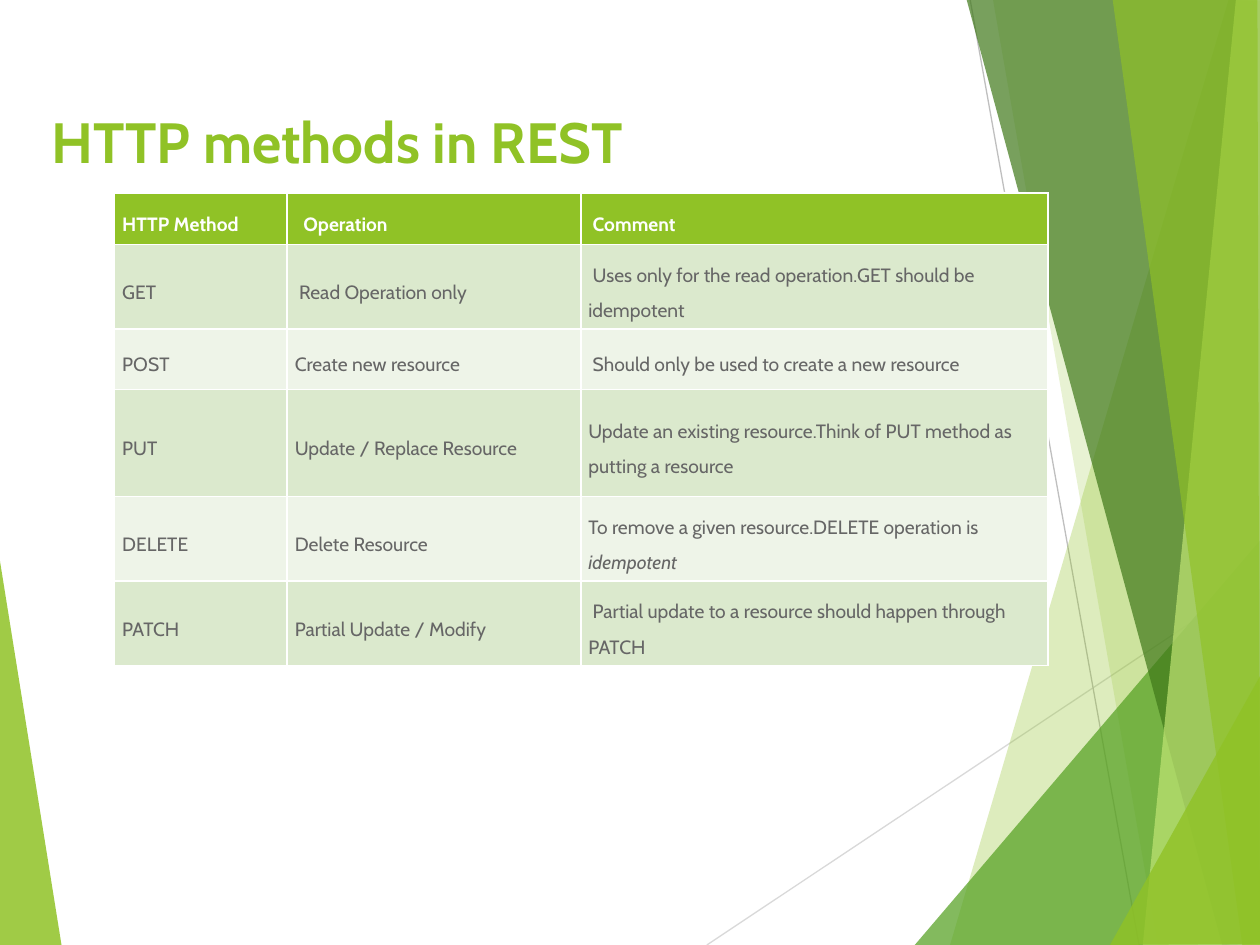
from lxml import etree
from pptx import Presentation
from pptx.dml.color import RGBColor
from pptx.enum.shapes import MSO_CONNECTOR
from pptx.enum.text import MSO_ANCHOR
from pptx.oxml.ns import qn
from pptx.util import Emu, Pt

PX = 9144
STRAIGHT = MSO_CONNECTOR.STRAIGHT
MIDDLE = MSO_ANCHOR.MIDDLE
BOTTOM = MSO_ANCHOR.BOTTOM

FONT = "Cabin"
GREEN = RGBColor(0x90, 0xC2, 0x26)
LEAF = RGBColor(0x54, 0xA0, 0x21)
FOREST = RGBColor(0x3F, 0x78, 0x19)
LIME = RGBColor(0xC0, 0xE4, 0x74)
BAND_DARK = RGBColor(0xDB, 0xE9, 0xCD)
BAND_LIGHT = RGBColor(0xEE, 0xF4, 0xE8)
WHITE = RGBColor(0xFF, 0xFF, 0xFF)
GRAY = RGBColor(0x66, 0x66, 0x66)
RULE_LIGHT = RGBColor(0xD9, 0xD9, 0xD9)
RULE_DARK = RGBColor(0xBF, 0xBF, 0xBF)

RULES = [
    ((561, 750), (1001, 457), RULE_LIGHT),
    ((770, 0), (904, 750), RULE_DARK),
]
FACETS = [
    ([(-1, 439), (49, 751), (-1, 750)], GREEN, 85),
    ([(975, 0), (754, 750), (1002, 751), (1001, 1)], GREEN, 30),
    ([(788, -1), (919, 750), (1001, 750), (1001, -1)], GREEN, 20),
    ([(726, 750), (1000, 429), (1001, 750)], LEAF, 72),
    ([(767, -1), (970, 750), (1001, 749), (1001, -1)], FOREST, 70),
    ([(981, -1), (907, 750), (1001, 750), (1000, -1)], LIME, 70),
    ([(883, -1), (986, 750), (1000, 750), (998, -1)], GREEN, 65),
    ([(881, 750), (1001, 535), (1001, 749)], GREEN, 80),
]
COLUMNS = [137, 233, 371]
ROWS = [
    (41, ["HTTP Method", "  Operation", " Comment"]),
    (66, ["GET", " Read Operation only",
          " Uses only for the read operation.GET should be idempotent"]),
    (48, ["POST", "Create new resource",
          " Should only be used to create a new resource"]),
    (85, ["PUT", "Update / Replace Resource",
          "Update an existing resource.Think of PUT method as putting a resource"]),
    (66, ["DELETE", "Delete Resource",
          "To remove a given resource.DELETE operation is *idempotent"]),
    (66, ["PATCH", "Partial Update / Modify",
          " Partial update to a resource should happen through PATCH"]),
]


def px(n):
    return Emu(n * PX)


def style_run(r, size, color, bold=False, italic=False):
    r.font.name = FONT
    r.font.size = Pt(size)
    r.font.color.rgb = color
    r.font.bold = bold
    r.font.italic = italic


def add_facet(slide, points, color, opacity):
    fb = slide.shapes.build_freeform(*points[0], scale=PX)
    fb.add_line_segments(points[1:], close=True)
    sp = fb.convert_to_shape()
    sp.shadow.inherit = False
    sp.fill.solid()
    sp.fill.fore_color.rgb = color
    sp.line.fill.background()
    clr = sp.fill._xPr.find(".//" + qn("a:srgbClr"))
    etree.SubElement(clr, qn("a:alpha")).set("val", str(opacity * 1000))


def add_rule(slide, start, end, color):
    line = slide.shapes.add_connector(STRAIGHT, *map(px, start + end))
    line.line.color.rgb = color
    line.line.width = Pt(0.75)
    etree.SubElement(line._element.spPr, qn("a:effectLst"))


def add_title(slide, text):
    tf = slide.shapes.add_textbox(px(31), px(24), px(909), px(115)).text_frame
    tf.word_wrap = True
    tf.vertical_anchor = BOTTOM
    tf.margin_bottom = 0
    tf.text = text
    style_run(tf.paragraphs[0].runs[0], 32.4, GREEN, bold=True)


def fill_cell(cell, text, fill, color, bold):
    cell.fill.solid()
    cell.fill.fore_color.rgb = fill
    cell.vertical_anchor = MIDDLE
    cell.margin_left = cell.margin_right = px(6)
    cell.margin_top = cell.margin_bottom = px(6)
    p = cell.text_frame.paragraphs[0]
    p.line_spacing = 1.5
    for i, part in enumerate(text.split("*")):
        r = p.add_run()
        r.text = part
        style_run(r, 11, color, bold, italic=i > 0)


def add_methods_table(slide):
    height = sum(h for h, _ in ROWS)
    table = slide.shapes.add_table(
        len(ROWS), len(COLUMNS), px(91), px(153), px(sum(COLUMNS)), px(height)).table
    for col, width in zip(table.columns, COLUMNS):
        col.width = px(width)
    for i, (row_height, texts) in enumerate(ROWS):
        table.rows[i].height = px(row_height)
        header = i == 0
        band = BAND_DARK if i % 2 else BAND_LIGHT
        for j, text in enumerate(texts):
            fill_cell(table.cell(i, j), text, GREEN if header else band,
                      WHITE if header else GRAY, header)


def main():
    prs = Presentation()
    prs.slide_width, prs.slide_height = px(1000), px(750)
    slide = prs.slides.add_slide(prs.slide_layouts[6])
    add_facet(slide, *FACETS[0])
    for rule in RULES:
        add_rule(slide, *rule)
    for facet in FACETS[1:]:
        add_facet(slide, *facet)
    add_title(slide, "HTTP methods in REST")
    add_methods_table(slide)
    prs.save("out.pptx")


if __name__ == "__main__":
    main()
